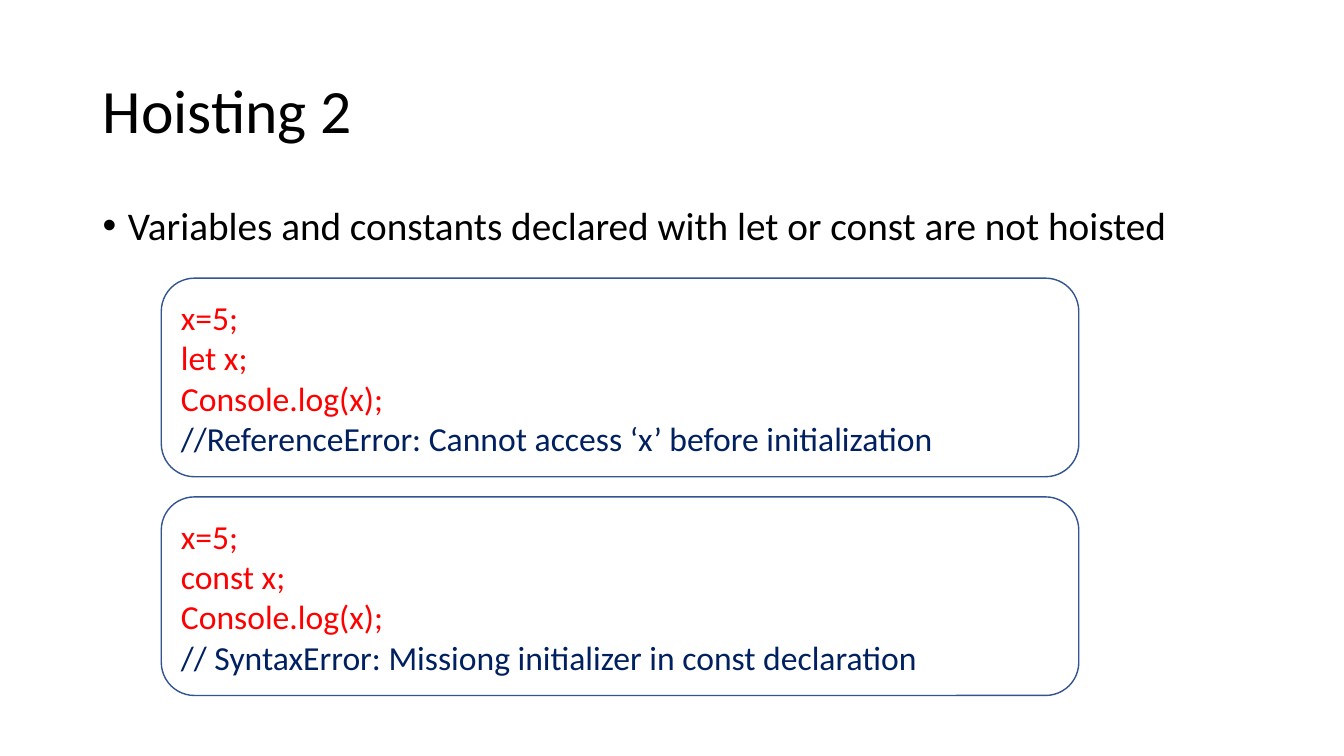
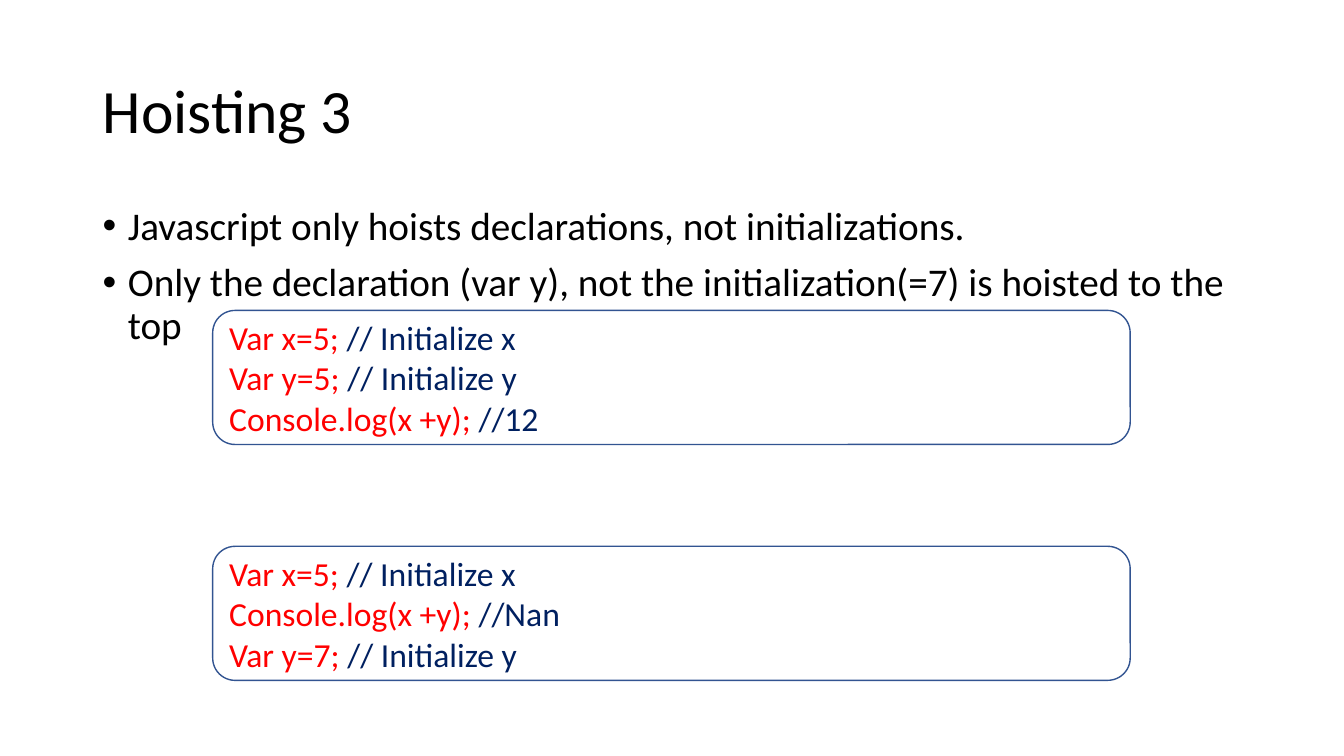
"""Build two slides on hoisting, with bullets and code cards."""
import dataclasses
import typing

import lxml.etree
import pptx
import pptx.dml.color
import pptx.enum.shapes
import pptx.enum.text
import pptx.oxml.ns
import pptx.util

SCALE = 9144
INK, CODE, NOTE, EDGE = "000000", "FF0000", "002060", "325491"
FACE = "Calibri"
MARK = "//"
LEFT, WIDE = 92, 1150
CARD = 910
ANCHOR = pptx.enum.text.MSO_ANCHOR
ALIGN = pptx.enum.text.PP_ALIGN

TITLE = {"size": pptx.util.Pt(44), "name": FACE}
BODY = {"size": pptx.util.Pt(28), "name": FACE}
LINE = {"size": pptx.util.Pt(24), "name": FACE}
TIGHT = {"line_spacing": 0.9}
SPACED = {"line_spacing": 0.9, "space_before": pptx.util.Pt(10)}
MIDDLE = {"word_wrap": True, "vertical_anchor": ANCHOR.MIDDLE}
TOP = {"word_wrap": True, "vertical_anchor": ANCHOR.TOP}


@dataclasses.dataclass(frozen=True)
class Card:
    """Hold one code card."""
    top: int
    lines: tuple[str, ...]


@dataclasses.dataclass(frozen=True)
class Page:
    """Hold the content of one slide."""
    title: str
    points: tuple[str, ...]
    left: int
    high: int
    cards: tuple[Card, ...]


PAGES = (
    Page("Hoisting 2",
         ("Variables and constants declared with let or const are not hoisted",),
         160, 197, (
             Card(276, ("x=5;", "let x;", "Console.log(x);",
                        "//ReferenceError: Cannot access ‘x’ before initialization")),
             Card(493, ("x=5;", "const x;", "Console.log(x);",
                        "// SyntaxError: Missiong initializer in const declaration")),
         )),
    Page("Hoisting 3",
         ("Javascript only hoists declarations, not initializations.",
          "Only the declaration (var y), not the initialization(=7) is hoisted to the top"),
         211, 133, (
             Card(308, ("Var x=5; // Initialize x", "Var y=5; // Initialize y",
                        "Console.log(x +y); //12")),
             Card(542, ("Var x=5; // Initialize x", "Console.log(x +y); //Nan",
                        "Var y=7; // Initialize y")),
         )),
)


def px(size: int) -> int:
    """Turn px into EMU."""
    return pptx.util.Emu(size * SCALE)


def tint(code: str) -> pptx.dml.color.RGBColor:
    """Turn a hex string into a colour."""
    return pptx.dml.color.RGBColor.from_string(code)


def put(item: typing.Any, form: dict[str, typing.Any]) -> None:
    """Set each format value on an object."""
    for key, value in form.items():
        setattr(item, key, value)


def write(para: typing.Any, text: str, form: dict[str, typing.Any], hue: str) -> None:
    """Add one run of text."""
    run = para.add_run()
    run.text = text
    put(run.font, form)
    run.font.color.rgb = tint(hue)


def paras(frame: typing.Any, count: int) -> list[typing.Any]:
    """Return the wanted number of paragraphs."""
    return [frame.paragraphs[0], *(frame.add_paragraph() for _ in range(count - 1))]


def dot(para: typing.Any) -> None:
    """Give a paragraph a hanging bullet."""
    props = para._p.get_or_add_pPr()
    props.set("marL", str(px(25)))
    props.set("indent", str(px(-25)))
    for tag, key, value in (("a:buFont", "typeface", "Arial"), ("a:buChar", "char", "•")):
        lxml.etree.SubElement(props, pptx.oxml.ns.qn(tag)).set(key, value)


def box(slide: typing.Any, top: int, high: int, form: dict[str, typing.Any]) -> typing.Any:
    """Add a text box and return its frame."""
    frame = slide.shapes.add_textbox(px(LEFT), px(top), px(WIDE), px(high)).text_frame
    put(frame, form)
    return frame


def head(slide: typing.Any, text: str) -> None:
    """Draw the title."""
    para = box(slide, 40, 145, MIDDLE).paragraphs[0]
    put(para, TIGHT)
    write(para, text, TITLE, INK)


def body(slide: typing.Any, points: tuple[str, ...]) -> None:
    """Draw the bullet list."""
    frame = box(slide, 200, 476, TOP)
    for rank, (para, text) in enumerate(zip(paras(frame, len(points)), points)):
        dot(para)
        put(para, SPACED if rank else TIGHT)
        write(para, text, BODY, INK)


def draw(slide: typing.Any, card: Card, left: int, high: int) -> None:
    """Draw a code card with its comments in their own colour."""
    kind = pptx.enum.shapes.MSO_SHAPE.ROUNDED_RECTANGLE
    shape = slide.shapes.add_shape(kind, px(left), px(card.top), px(CARD), px(high))
    shape.shadow.inherit = False
    shape.fill.background()
    shape.line.color.rgb = tint(EDGE)
    shape.line.width = pptx.util.Pt(1)
    put(shape.text_frame, MIDDLE)
    for para, text in zip(paras(shape.text_frame, len(card.lines)), card.lines):
        para.alignment = ALIGN.LEFT
        code, mark, note = text.partition(MARK)
        for part, hue in ((code, CODE), (mark + note, NOTE)):
            if part:
                write(para, part, LINE, hue)


def main() -> None:
    """Build and save the deck."""
    deck = pptx.Presentation()
    put(deck, {"slide_width": px(1333), "slide_height": px(750)})
    for page in PAGES:
        slide = deck.slides.add_slide(deck.slide_layouts[6])
        head(slide, page.title)
        body(slide, page.points)
        for card in page.cards:
            draw(slide, card, page.left, page.high)
    deck.save("out.pptx")


if __name__ == "__main__":
    main()
